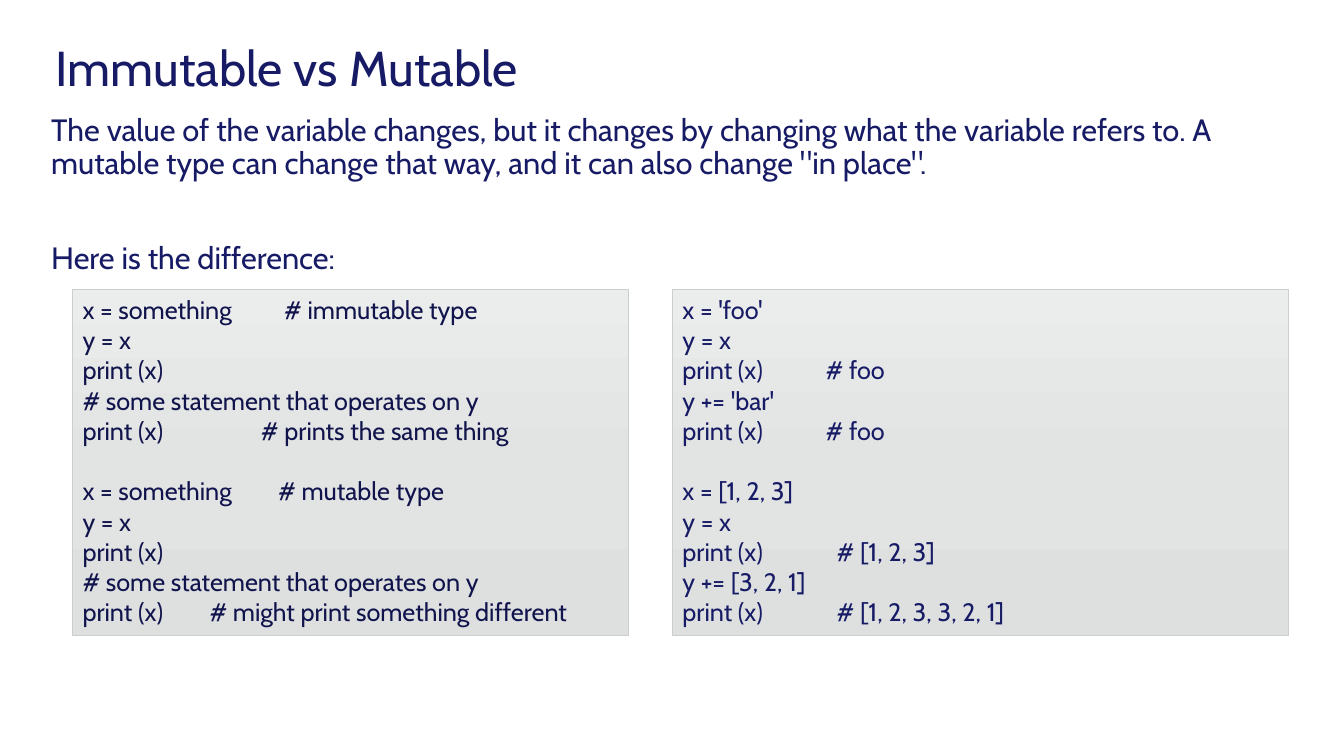
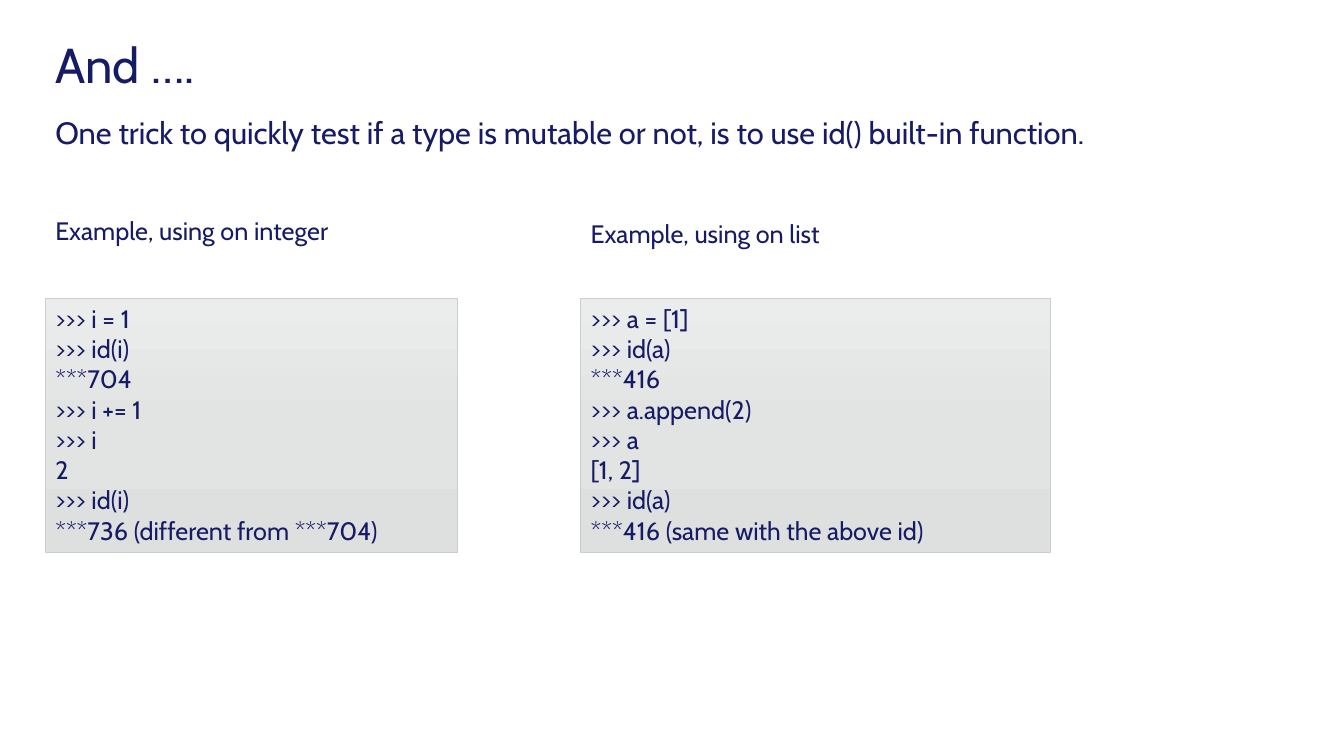
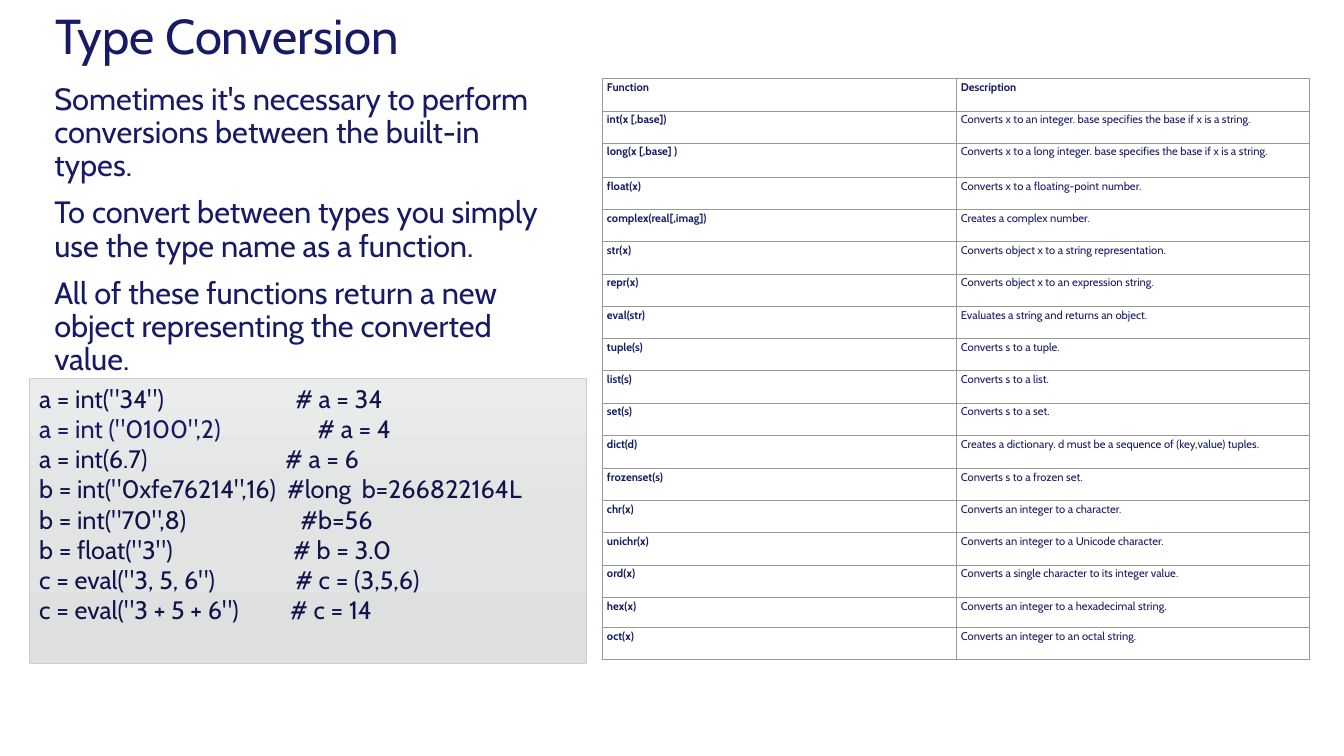
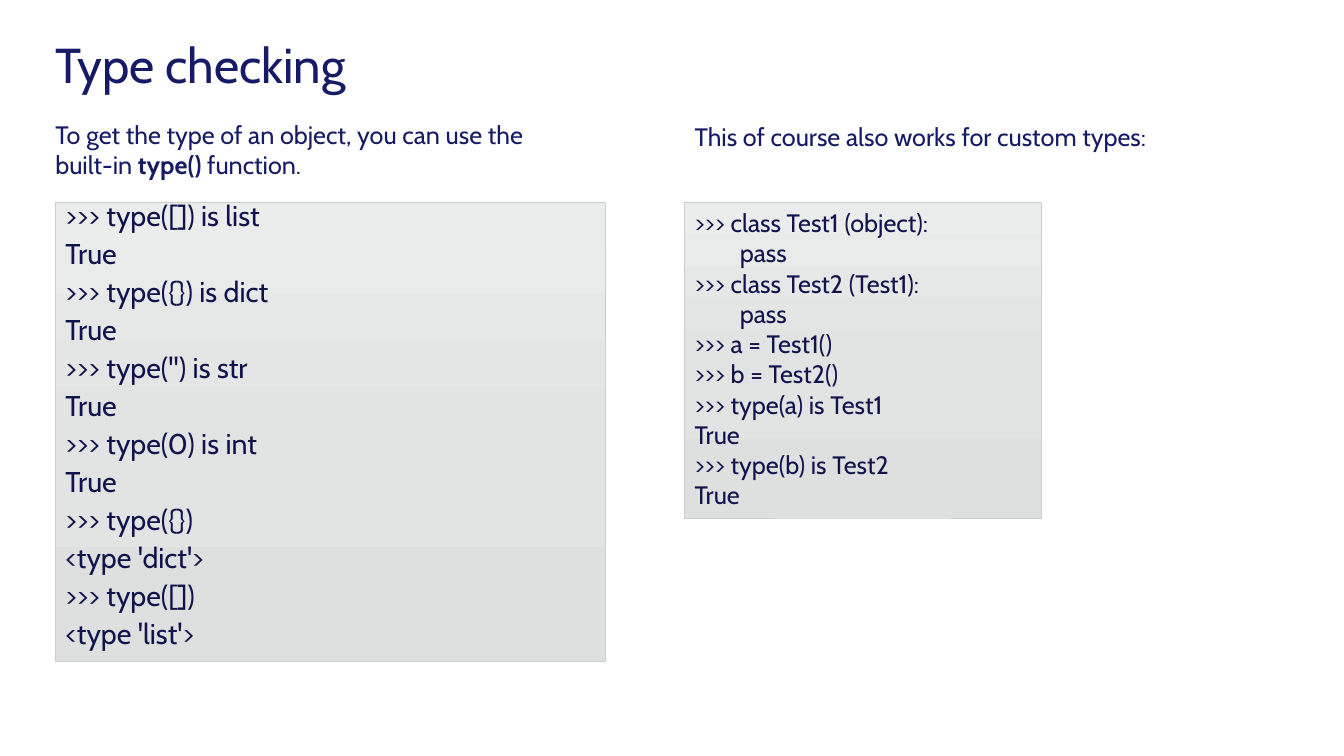
"""Build four slides on Python mutability, type conversion and type checking."""
import copy

import pptx
import pptx.dml.color
import pptx.enum.shapes
import pptx.enum.text
import pptx.oxml
import pptx.oxml.ns
import pptx.util

Inches, Pt = pptx.util.Inches, pptx.util.Pt
qn = pptx.oxml.ns.qn
ANCHOR = pptx.enum.text.MSO_ANCHOR

NAVY, INK = "171B65", "11144C"
THEME = {
    "font": "Cabin",
    "panel": [(0, "EBECEC"), (0.5, "E2E3E3"), (1, "DEE0E0")],
    "panel_line": ("CBCECE", 0.5),
    "grid": ("999999", 0.5),
    "cell": "FFFFFF",
    "code_gap": 21.6,
    "styles": {
        "title": {"size": 35, "color": NAVY, "line": 0.9, "anchor": ANCHOR.MIDDLE},
        "body": {"size": 22, "color": NAVY, "line": 0.9, "before": 10},
        "label": {"size": 18, "color": NAVY},
        "code": {"size": 18, "color": INK},
        "code_navy": {"size": 18, "color": NAVY},
        "code_loose": {"size": 20.4, "color": INK, "line": 0.7, "before": 10},
        "cell": {"size": 8, "color": NAVY},
    },
}


def tabbed(text, *tabs):
    return {"runs": [(text, {})], "tabs": tabs}


PASS = {"runs": [("pass", {})], "indent": 0.45}

SLIDES = [
    {
        "title": ("Immutable vs Mutable", (0.45, 0.38, 6.21, 0.64)),
        "texts": [
            ("body", (0.41, 1.09, 12.51, 1.78), [
                "The value of the variable changes, but it changes by changing what the "
                "variable refers to. A mutable type can change that way, and it can also "
                'change "in place".',
                {"runs": [("Here is the difference:", {})], "before": 44},
            ]),
        ],
        "panels": [
            ("code", (0.72, 2.87, 5.51, 3.43), [
                [tabbed("x = something\t# immutable type", 2.0),
                 "y = x",
                 "print (x)",
                 "# some statement that operates on y",
                 tabbed("print (x)\t# prints the same thing", 1.77)],
                [tabbed("x = something\t# mutable type", 1.94),
                 "y = x",
                 "print (x)",
                 "# some statement that operates on y",
                 tabbed("print (x)\t# might print something different", 1.26)],
            ]),
            ("code_navy", (6.67, 2.87, 6.11, 3.43), [
                ["x = 'foo'",
                 "y = x",
                 tabbed("print (x)\t# foo", 1.42),
                 "y += 'bar'",
                 tabbed("print (x)\t# foo", 1.42)],
                ["x = [1, 2, 3]",
                 "y = x",
                 tabbed("print (x)\t# [1, 2, 3]", 1.53),
                 "y += [3, 2, 1]",
                 tabbed("print (x)\t# [1, 2, 3, 3, 2, 1]", 1.53)],
            ]),
        ],
    },
    {
        "title": ("And ….", (0.45, 0.38, 5.22, 0.58)),
        "texts": [
            ("body", (0.45, 1.12, 12.29, 0.5), [
                "One trick to quickly test if a type is mutable or not, is to use id() "
                "built-in function."]),
            ("label", (0.45, 2.09, 3.11, 0.4), ["Example, using on integer"]),
            ("label", (5.76, 2.12, 2.72, 0.4), ["Example, using on list"]),
        ],
        "panels": [
            ("code_navy", (0.45, 2.96, 4.09, 2.52), [
                [">>> i = 1", ">>> id(i)", "***704", ">>> i += 1", ">>> i", "2",
                 ">>> id(i)", "***736 (different from ***704)"]]),
            ("code_navy", (5.76, 2.96, 4.66, 2.52), [
                [">>> a = [1]", ">>> id(a)", "***416", ">>> a.append(2)", ">>> a",
                 "[1, 2]", ">>> id(a)", "***416 (same with the above id)"]]),
        ],
    },
    {
        "title": ("Type Conversion", (0.45, 0.09, 5.22, 0.58)),
        "texts": [
            ("body", (0.44, 0.78, 5.23, 4.55), [
                "Sometimes it's necessary to perform conversions between the built-in types.",
                "To convert between types you simply use the type name as a function.",
                "All of these functions return a new object representing the converted value.",
            ]),
        ],
        "panels": [
            ("code", (0.29, 3.75, 5.53, 2.83), [
                [tabbed('a = int("34")\t# a = 34', 2.54),
                 {"runs": [('a = int ("0100",2)\t', {"color": NAVY}), ("# a = 4", {})],
                  "tabs": (2.76,)},
                 tabbed("a = int(6.7)\t# a = 6", 2.44),
                 tabbed('b = int("0xfe76214",16)\t#long\tb=266822164L', 2.46, 3.2),
                 tabbed('b = int("70",8)\t#b=56', 2.59),
                 tabbed('b = float("3")\t# b = 3.0', 2.52),
                 tabbed('c = eval("3, 5, 6")\t# c = (3,5,6)', 2.54),
                 tabbed('c = eval("3 + 5 + 6")\t# c = 14', 2.49)],
            ]),
        ],
        "table": {
            "at": (5.97, 0.78, 7.02, 5.79),
            "row": 0.32,
            "odd_rows": {2: 0.34, 11: 0.33, 16: 0.3},
            "rows": [
                ("Function", "Description"),
                ("int(x [,base])",
                 "Converts x to an integer. base specifies the base if x is a string."),
                ("long(x [,base] )",
                 "Converts x to a long integer. base specifies the base if x is a string."),
                ("float(x)", "Converts x to a floating-point number."),
                ("complex(real[,imag])", "Creates a complex number."),
                ("str(x)", "Converts object x to a string representation."),
                ("repr(x)", "Converts object x to an expression string."),
                ("eval(str)", "Evaluates a string and returns an object."),
                ("tuple(s)", "Converts s to a tuple."),
                ("list(s)", "Converts s to a list."),
                ("set(s)", "Converts s to a set."),
                ("dict(d)",
                 "Creates a dictionary. d must be a sequence of (key,value) tuples."),
                ("frozenset(s)", "Converts s to a frozen set."),
                ("chr(x)", "Converts an integer to a character."),
                ("unichr(x)", "Converts an integer to a Unicode character."),
                ("ord(x)", "Converts a single character to its integer value."),
                ("hex(x)", "Converts an integer to a hexadecimal string."),
                ("oct(x)", "Converts an integer to an octal string."),
            ],
        },
    },
    {
        "title": ("Type checking", (0.45, 0.38, 5.22, 0.58)),
        "texts": [
            ("label", (0.45, 1.13, 5.22, 0.71), [
                {"runs": [("To get the type of an object, you can use the built-in ", {}),
                          ("type() ", {"bold": True}),
                          ("function.", {})]}]),
            ("label", (6.79, 1.15, 5.04, 0.4),
             ["This of course also works for custom types:"]),
        ],
        "panels": [
            ("code_loose", (0.55, 2.01, 5.45, 4.55), [
                [">>> type([]) is list", "True", ">>> type({}) is dict", "True",
                 ">>> type('') is str", "True", ">>> type(0) is int", "True",
                 ">>> type({})", "<type 'dict'>", ">>> type([])", "<type 'list'>"]]),
            ("code", (6.79, 2.01, 3.54, 3.13), [
                [">>> class Test1 (object):", PASS, ">>> class Test2 (Test1):", PASS,
                 ">>> a = Test1()", ">>> b = Test2()", ">>> type(a) is Test1", "True",
                 ">>> type(b) is Test2", "True"]]),
        ],
    },
]


def rgb(value):
    return pptx.dml.color.RGBColor.from_string(value)


def inches(box):
    return [Inches(v) for v in box]


def as_para(item):
    return {"runs": [(item, {})]} if isinstance(item, str) else item


def write(tf, paras, style, **extra):
    for i, item in enumerate(paras):
        para = {**style, **as_para(item)}
        p = tf.paragraphs[0] if i == 0 else tf.add_paragraph()
        p.alignment = pptx.enum.text.PP_ALIGN.LEFT
        p.line_spacing = para.get("line", 1.0)
        p.space_before = Pt(para.get("before", 0))
        pPr = p._p.get_or_add_pPr()
        if "indent" in para:
            pPr.set("marL", str(Inches(para["indent"])))
        if "tabs" in para:
            tabs = pptx.oxml.parse_xml(
                '<a:tabLst xmlns:a="http://schemas.openxmlformats.org/drawingml/2006/main"/>')
            for pos in para["tabs"]:
                tab = tabs.makeelement(qn("a:tab"), {"pos": str(Inches(pos)), "algn": "l"})
                tabs.append(tab)
            pPr.append(tabs)
        for text, own in para["runs"]:
            r = p.add_run()
            r.text = text
            fmt = {"name": THEME["font"], "size": Pt(style["size"]), "bold": False,
                   "color": style["color"], **extra, **own}
            r.font.color.rgb = rgb(fmt.pop("color"))
            for name, value in fmt.items():
                setattr(r.font, name, value)


def add_text(s, style_name, box, paras):
    style = THEME["styles"][style_name]
    tf = s.shapes.add_textbox(*inches(box)).text_frame
    tf.word_wrap = True
    tf.vertical_anchor = style.get("anchor", ANCHOR.TOP)
    write(tf, paras, style)


def add_panel(s, style_name, box, blocks):
    sp = s.shapes.add_shape(pptx.enum.shapes.MSO_SHAPE.RECTANGLE, *inches(box))
    sp.shadow.inherit = False
    sp.fill.gradient()
    sp.fill.gradient_angle = 270
    stops = sp._element.spPr.find(qn("a:gradFill")).find(qn("a:gsLst"))
    stops.append(copy.deepcopy(stops[-1]))
    for stop, (position, color) in zip(sp.fill.gradient_stops, THEME["panel"]):
        stop.position = position
        stop.color.rgb = rgb(color)
    color, width = THEME["panel_line"]
    sp.line.color.rgb = rgb(color)
    sp.line.width = Pt(width)
    lines = []
    for i, block in enumerate(blocks):
        first = as_para(block[0])
        lines += [{**first, "before": THEME["code_gap"]} if i else first, *block[1:]]
    tf = sp.text_frame
    tf.word_wrap = True
    tf.vertical_anchor = ANCHOR.TOP
    write(tf, lines, THEME["styles"][style_name])


def add_borders(cell):
    color, width = THEME["grid"]
    tcPr = cell._tc.get_or_add_tcPr()
    for i, side in enumerate(("lnL", "lnR", "lnT", "lnB")):
        tcPr.insert(i, pptx.oxml.parse_xml(
            f'<a:{side} xmlns:a="http://schemas.openxmlformats.org/drawingml/2006/main" '
            f'w="{Pt(width)}"><a:solidFill><a:srgbClr val="{color}"/></a:solidFill></a:{side}>'))


def add_grid(s, grid):
    rows = grid["rows"]
    table = s.shapes.add_table(len(rows), len(rows[0]), *inches(grid["at"])).table
    table.first_row = table.horz_banding = False
    margins = {"margin_left": 0.05, "margin_right": 0.05,
               "margin_top": 0.02, "margin_bottom": 0.02}
    for i, row in enumerate(rows):
        table.rows[i].height = Inches(grid["odd_rows"].get(i, grid["row"]))
        for j, text in enumerate(row):
            cell = table.cell(i, j)
            for name, value in margins.items():
                setattr(cell, name, Inches(value))
            cell.fill.solid()
            cell.fill.fore_color.rgb = rgb(THEME["cell"])
            add_borders(cell)
            write(cell.text_frame, [text], THEME["styles"]["cell"], bold=i == 0 or j == 0)


def main():
    prs = pptx.Presentation()
    prs.slide_width, prs.slide_height = Inches(13.33), Inches(7.5)
    for content in SLIDES:
        s = prs.slides.add_slide(prs.slide_layouts[6])
        title, box = content["title"]
        add_text(s, "title", box, [title])
        for text in content["texts"]:
            add_text(s, *text)
        if "table" in content:
            add_grid(s, content["table"])
        for panel in content["panels"]:
            add_panel(s, *panel)
    prs.save("out.pptx")


if __name__ == "__main__":
    main()
